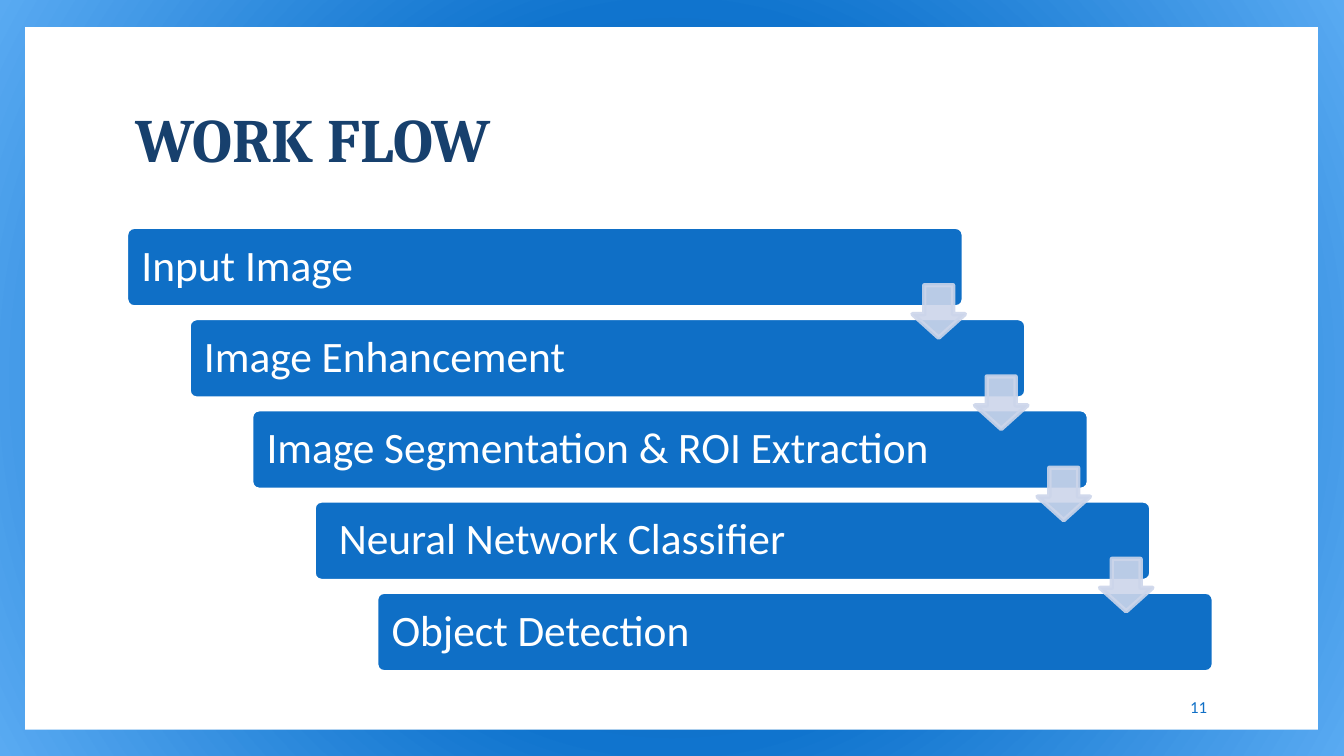
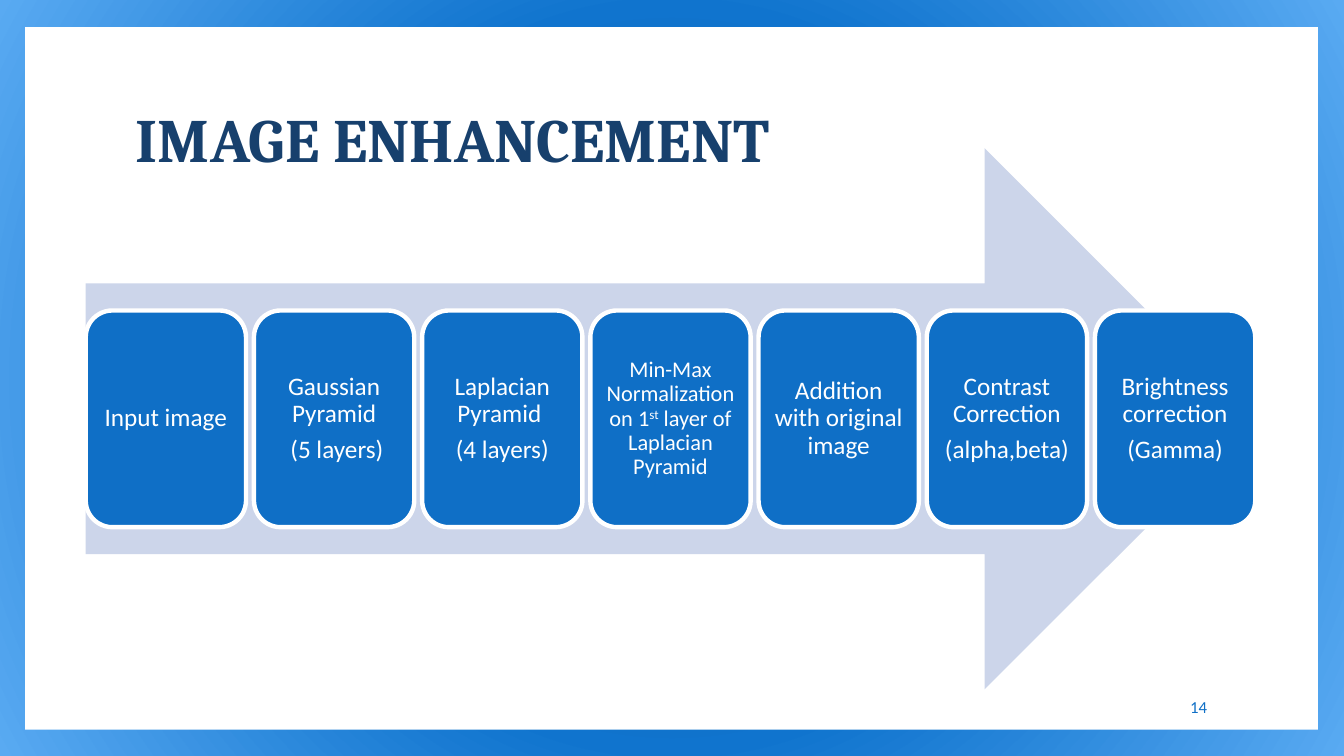
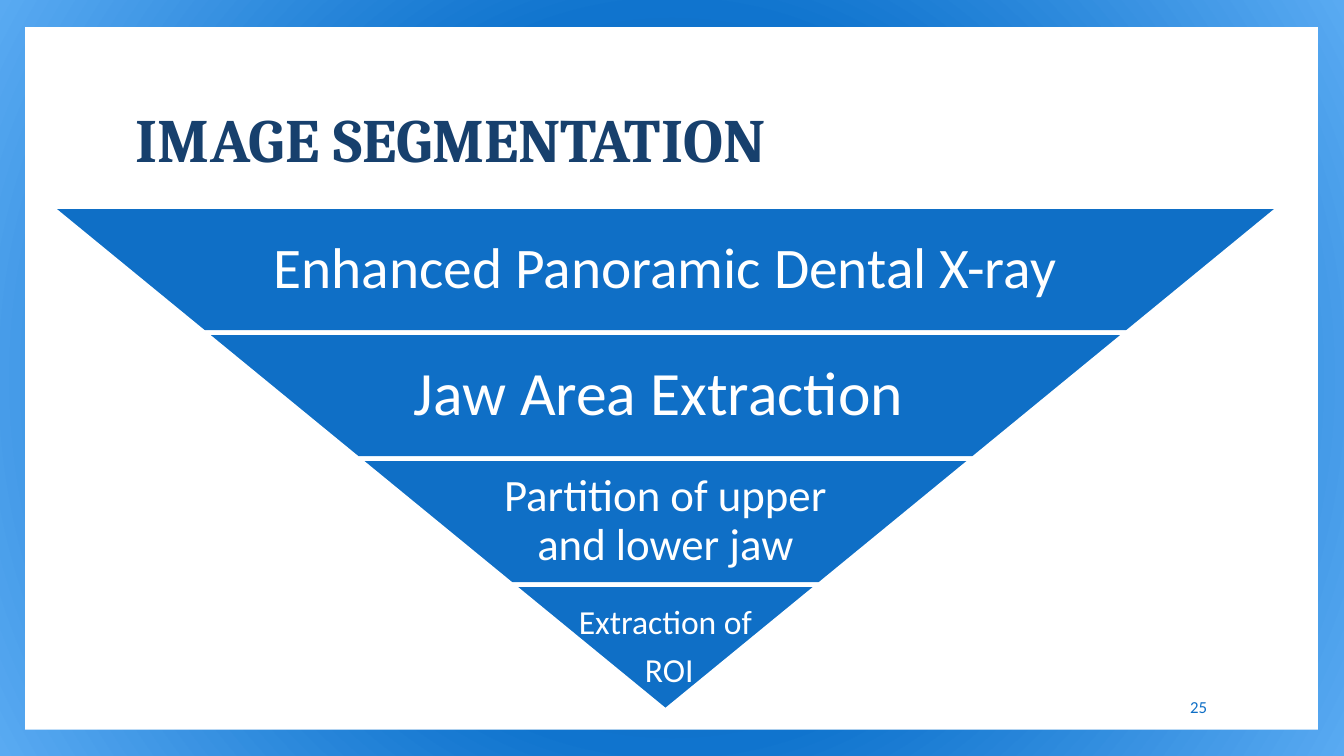
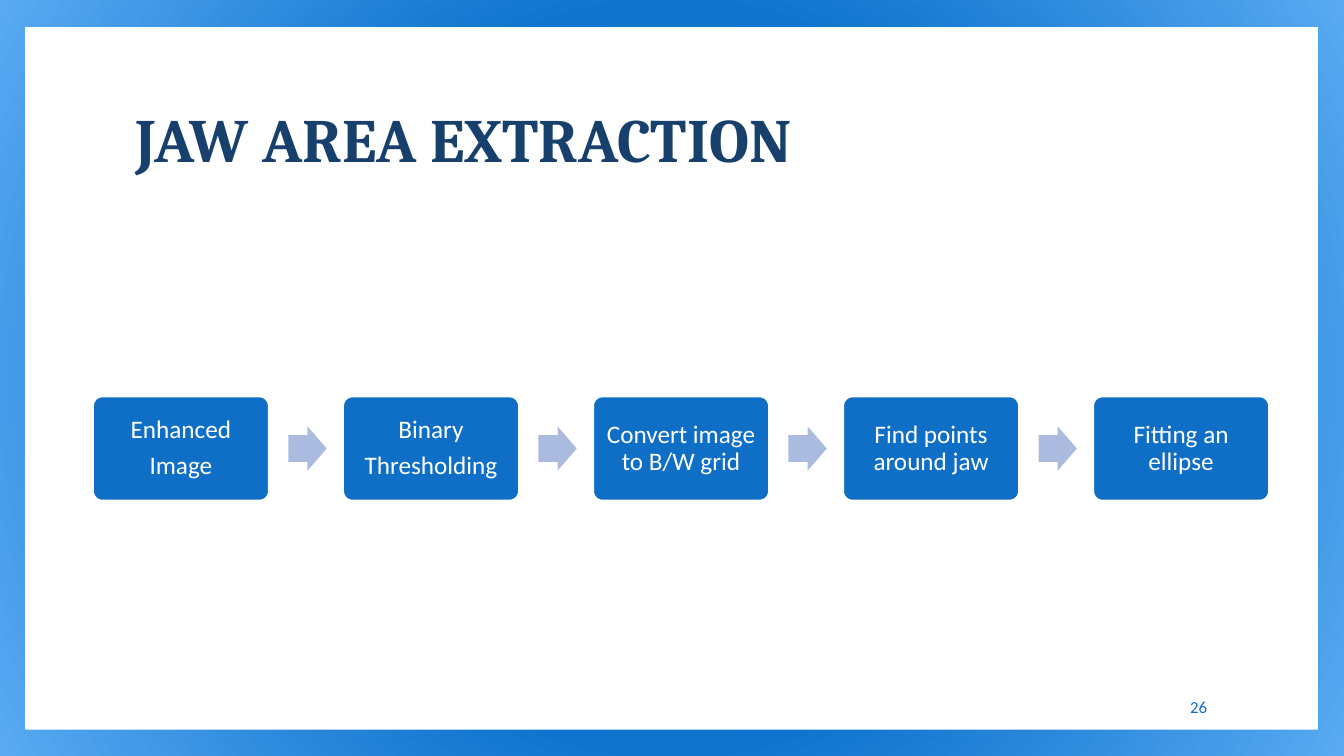
import dataclasses

import lxml.etree
import pptx
import pptx.dml.color
import pptx.enum.shapes
import pptx.enum.text
import pptx.oxml.ns
import pptx.util

Inches = pptx.util.Inches
Pt = pptx.util.Pt
qn = pptx.oxml.ns.qn
SHAPES = pptx.enum.shapes.MSO_SHAPE
ALIGN = pptx.enum.text.PP_ALIGN


@dataclasses.dataclass(frozen=True)
class Theme:
    white: str = "FFFFFF"
    blue: str = "0F6FC6"
    navy: str = "17406D"
    pale: str = "CCD5EA"
    arrow: str = "ABBBDF"
    backdrop: tuple = ((0, "0A4A85"), (48, "1074CE"), (100, "59AAF2"))
    body_font: str = "Calibri"
    title_font: str = "Cambria"
    title_size: int = 44
    step_size: int = 31
    card_size: int = 18
    small_card_size: int = 16
    funnel_sizes: tuple = (41, 44, 32, 24)
    number_size: int = 12
    outline: float = 3.15
    line_spacing: float = 0.9
    paragraph_gap: float = 0.35


def rgb(value):
    return pptx.dml.color.RGBColor.from_string(value)


class SlideBuilder:
    def __init__(self, deck, theme):
        self.deck = deck
        self.theme = theme
        self.page = None
        self.paint_backdrop()

    def paint_backdrop(self):
        """Give the slide master a circular gradient, shared by all slides."""
        master = self.deck.slide_master
        master.background.fill.gradient()
        gradient = next(master.element.iter(qn("a:gradFill")))
        for child in list(gradient):
            gradient.remove(child)
        stops = lxml.etree.SubElement(gradient, qn("a:gsLst"))
        for position, color in self.theme.backdrop:
            stop = lxml.etree.SubElement(stops, qn("a:gs"), pos=str(position * 1000))
            lxml.etree.SubElement(stop, qn("a:srgbClr"), val=color)
        circle = lxml.etree.SubElement(gradient, qn("a:path"), path="circle")
        center = dict.fromkeys("ltrb", "50000")
        lxml.etree.SubElement(circle, qn("a:fillToRect"), **center)

    def start(self, title, number):
        """Add a slide with its white panel, title and slide number."""
        theme = self.theme
        self.page = self.deck.slides.add_slide(self.deck.slide_layouts[6])
        self.shape(SHAPES.RECTANGLE, 0.25, 0.27, 12.82, 6.97, theme.white)
        heading = self.text_box(1.25, 0.67, 10.8, 1.48)
        self.set_text(heading, [title], theme.title_size, align=ALIGN.LEFT,
                      color=theme.navy, name=theme.title_font, bold=True)
        footer = self.text_box(10.2, 6.81, 1.87, 0.4)
        self.set_text(footer, [str(number)], theme.number_size, align=ALIGN.RIGHT,
                      color=theme.blue, spacing=1.0)

    def shape(self, kind, left, top, width, height, fill, line=None, adjust=(), opacity=None):
        shape = self.page.shapes.add_shape(
            kind, Inches(left), Inches(top), Inches(width), Inches(height))
        shape.shadow.inherit = False
        for index, value in enumerate(adjust):
            shape.adjustments[index] = value
        shape.fill.solid()
        shape.fill.fore_color.rgb = rgb(fill)
        if line:
            shape.line.color.rgb = rgb(line)
            shape.line.width = Pt(self.theme.outline)
        else:
            shape.line.fill.background()
        if opacity is not None:
            for color in shape.element.spPr.iter(qn("a:srgbClr")):
                lxml.etree.SubElement(color, qn("a:alpha"), val=str(opacity * 1000))
        return shape

    def text_box(self, left, top, width, height):
        return self.page.shapes.add_textbox(
            Inches(left), Inches(top), Inches(width), Inches(height))

    def set_text(self, box, lines, size, inset=None, align=ALIGN.CENTER,
                 color=None, spacing=None, name=None, bold=False):
        """Fill a box with paragraphs; text between ^ marks is superscript."""
        theme = self.theme
        frame = box.text_frame
        frame.word_wrap = True
        frame.vertical_anchor = pptx.enum.text.MSO_ANCHOR.MIDDLE
        if inset is not None:
            for side in ("left", "top", "right", "bottom"):
                setattr(frame, f"margin_{side}", Inches(inset))
        para_format = {"alignment": align,
                       "line_spacing": spacing or theme.line_spacing,
                       "space_after": Pt(size * theme.paragraph_gap)}
        font_format = {"name": name or theme.body_font, "size": Pt(size), "bold": bold}
        for index, line in enumerate(lines):
            para = frame.add_paragraph() if index else frame.paragraphs[0]
            for key, value in para_format.items():
                setattr(para, key, value)
            for part, text in enumerate(line.split("^")):
                span = para.add_run()
                span.text = text
                for key, value in font_format.items():
                    setattr(span.font, key, value)
                span.font.color.rgb = rgb(color or theme.white)
                if part % 2:
                    span._r.get_or_add_rPr().set("baseline", "30000")

    def card(self, left, top, width, height, lines, size, inset=0.07,
             align=ALIGN.CENTER, adjust=()):
        """Draw a blue rounded box with white text."""
        box = self.shape(SHAPES.ROUNDED_RECTANGLE, left, top, width, height,
                         self.theme.blue, self.theme.white, adjust)
        self.set_text(box, lines, size, inset, align)


def work_flow(builder):
    theme = builder.theme
    builder.start("WORK FLOW", 11)
    steps = ["Input Image", "Image Enhancement", "Image Segmentation & ROI Extraction",
             " Neural Network Classifier", "Object Detection"]
    first_top, last_top = 2.25, 5.87
    drop = (last_top - first_top) / (len(steps) - 1)
    corners = [(1.25 + 0.62 * i, first_top + drop * i) for i in range(len(steps))]
    for (left, top), step in zip(corners, steps):
        builder.card(left, top, 8.31, 0.8, [step], theme.step_size, inset=0.13,
                     align=ALIGN.LEFT, adjust=[0.1])
    for left, top in corners[:-1]:
        builder.shape(SHAPES.DOWN_ARROW, left + 7.8, top + 0.58, 0.52, 0.52,
                      theme.pale, theme.pale, [0.55, 0.45], opacity=90)


def image_enhancement(builder):
    theme = builder.theme
    builder.start("IMAGE ENHANCEMENT", 14)
    left, total, width = 0.85, 11.6, 1.59
    builder.shape(SHAPES.RIGHT_ARROW, left, 1.47, total, 5.37, theme.pale)
    stages = [
        (["Input image"], theme.card_size),
        (["Gaussian Pyramid", " (5 layers)"], theme.card_size),
        (["Laplacian Pyramid ", "(4 layers)"], theme.card_size),
        (["Min-Max Normalization on 1^st^ layer of Laplacian Pyramid"],
         theme.small_card_size),
        (["Addition with original image"], theme.card_size),
        (["Contrast Correction", "(alpha,beta)"], theme.card_size),
        (["Brightness correction", "(Gamma)"], theme.card_size),
    ]
    pitch = (total - width) / (len(stages) - 1)
    for index, (lines, size) in enumerate(stages):
        builder.card(left + pitch * index, 3.08, width, 2.15, lines, size)


def image_segmentation(builder):
    theme = builder.theme
    builder.start("IMAGE SEGMENTATION", 25)
    left, top, total, height = 0.5, 2.05, 12.2, 1.25
    levels = [(["Enhanced Panoramic Dental X-ray"], 0.65, 0.06),
              (["Jaw Area Extraction "], 0.65, 0.06),
              (["Partition of upper and lower jaw"], 0.65, 0.04),
              (["Extraction of", " ROI"], 1, 0.03)]
    slope = total / (2 * len(levels))
    for index, (lines, share, inset) in enumerate(levels):
        width = total - 2 * slope * index
        level_top = top + height * index
        band = builder.shape(SHAPES.TRAPEZOID, left + slope * index, level_top, width,
                             height, theme.blue, theme.white, [slope / height])
        band.rotation = 180
        text_width = width * share
        label = builder.text_box(left + (total - text_width) / 2, level_top,
                                 text_width, height)
        builder.set_text(label, lines, theme.funnel_sizes[index], inset)


def jaw_area_extraction(builder):
    theme = builder.theme
    builder.start("JAW AREA EXTRACTION", 26)
    steps = [["Enhanced", "Image"], ["Binary", "Thresholding"],
             ["Convert image to B/W grid"], ["Find points around jaw"],
             ["Fitting an ellipse"]]
    for index, lines in enumerate(steps):
        left = 0.91 + 2.48 * index
        builder.card(left, 3.92, 1.77, 1.06, lines, theme.card_size, adjust=[0.1])
        if index < len(steps) - 1:
            builder.shape(SHAPES.RIGHT_ARROW, left + 1.95, 4.23, 0.38, 0.44,
                          theme.arrow, adjust=[0.6, 0.5])


def main():
    deck = pptx.Presentation()
    deck.slide_width = Inches(13.33)
    deck.slide_height = Inches(7.5)
    builder = SlideBuilder(deck, Theme())
    for build in (work_flow, image_enhancement, image_segmentation, jaw_area_extraction):
        build(builder)
    deck.save("out.pptx")


if __name__ == "__main__":
    main()
